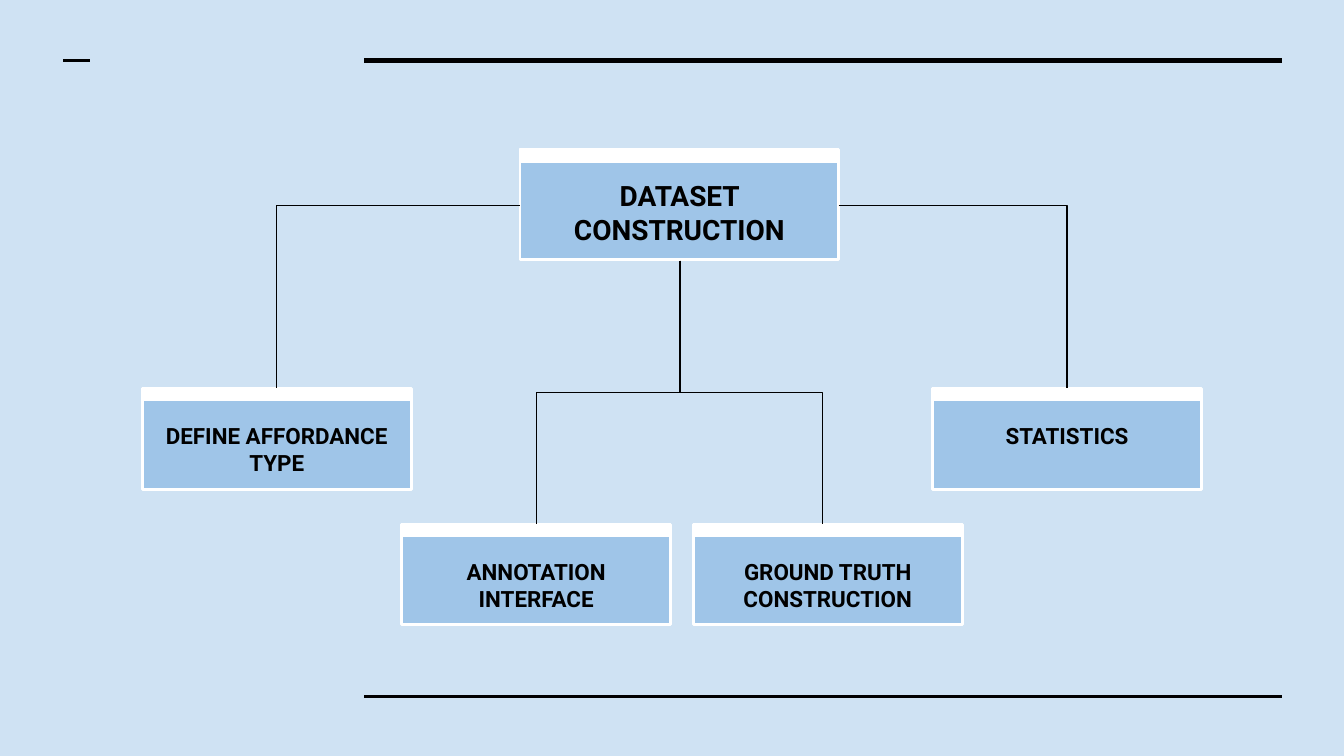
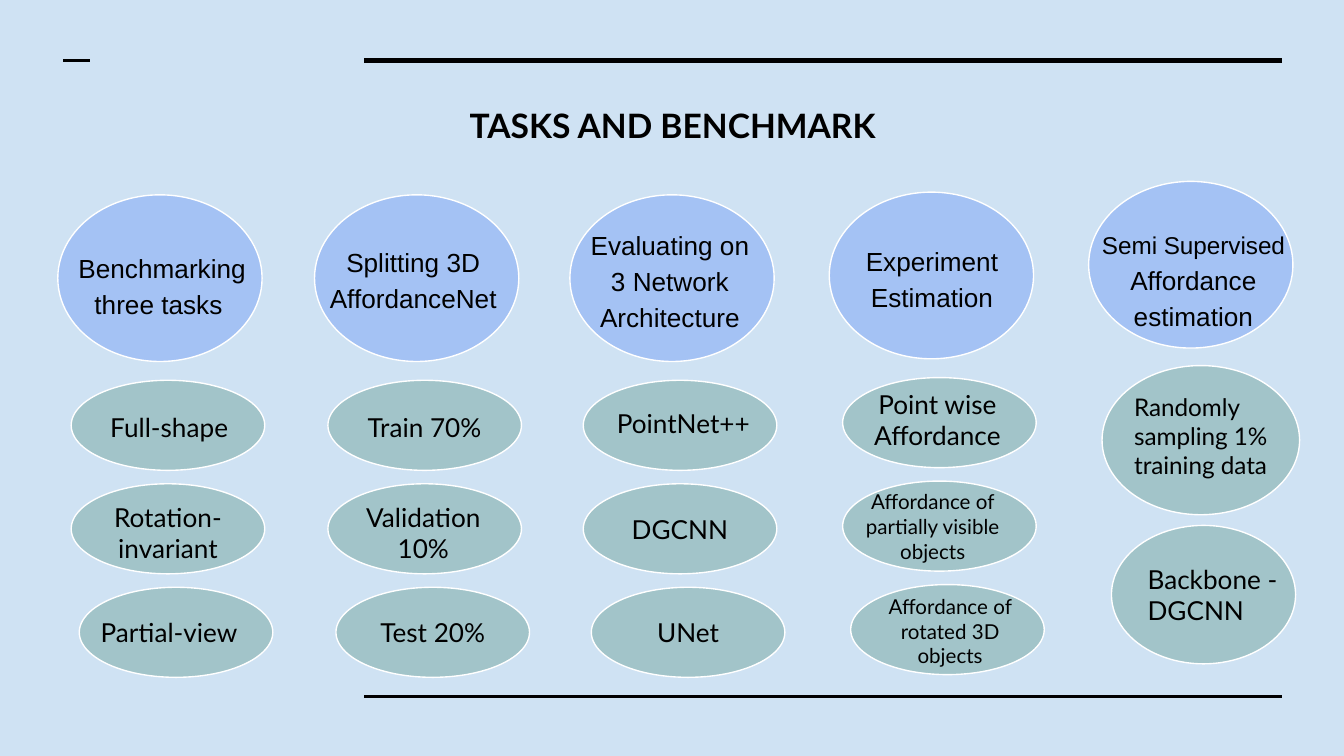
from dataclasses import dataclass

from lxml import etree
from pptx import Presentation
from pptx import util as u
from pptx.dml.color import RGBColor
from pptx.enum import shapes, text
from pptx.oxml.ns import qn

PX = 9144  # EMU in one px, 100 px to the inch


@dataclass(frozen=True)
class Theme:
    back: str = "CFE2F3"
    ink: str = "000000"
    white: str = "FFFFFF"
    card: str = "9FC5E8"
    header: str = "A4C2F4"
    pill: str = "A2C4C9"
    card_font: str = "Roboto"
    header_font: str = "Arial"
    body_font: str = "Lato"
    title: int = 18
    root: int = 15
    branch: int = 12
    body: int = 14
    medium: int = 13
    small: int = 11
    thick: float = 3
    rule: float = 1.5
    thin: float = 0.75


T = Theme()
RECT, OVAL = shapes.MSO_SHAPE.RECTANGLE, shapes.MSO_SHAPE.OVAL
LEFT, CENTER = text.PP_ALIGN.LEFT, text.PP_ALIGN.CENTER


def block(parent, at, kind=None, fill=None, line=T.thin, lines=(), size=T.body,
          font=T.body_font, bold=False, align=CENTER, indent=0, spacing=None, bottom=10):
    """Draw a filled shape, or a plain text box when no kind is given."""
    box = [n * PX for n in at]
    if kind is None:
        sp = parent.add_textbox(*box)
    else:
        sp = parent.add_shape(kind, *box)
        sp.shadow.inherit = False
        sp.fill.solid()
        sp.fill.fore_color.rgb = RGBColor.from_string(fill)
        sp.line.color.rgb = RGBColor.from_string(T.white)
        sp.line.width = u.Pt(line)
    if not lines:
        return
    tf = sp.text_frame
    tf.word_wrap = True
    tf.margin_left = tf.margin_right = tf.margin_top = 10 * PX
    tf.margin_bottom = bottom * PX
    if kind is None:
        tf.auto_size = text.MSO_AUTO_SIZE.SHAPE_TO_FIT_TEXT
    else:
        tf.vertical_anchor = text.MSO_ANCHOR.BOTTOM
    for i, (words, points) in enumerate((ln, size) if isinstance(ln, str) else ln for ln in lines):
        p = tf.paragraphs[0] if i == 0 else tf.add_paragraph()
        p.alignment = align
        if spacing:
            p.line_spacing = spacing
        if indent:
            pPr = p._p.get_or_add_pPr()
            pPr.set("marL", str(indent * PX))
            pPr.set("indent", "0")
        r = p.add_run()
        r.text = words
        r.font.name, r.font.size, r.font.bold = font, u.Pt(points), bold
        r.font.color.rgb = RGBColor.from_string(T.ink)


def link(parent, start, end, width=T.thin, route="straight"):
    """Join two points: straight, by one corner, or by a drop that forks halfway down."""
    x1, y1, x2, y2 = (n * PX for n in (*start, *end))
    turn = 0
    if route == "fork":
        # The elbow preset runs sideways, so lay it out sideways and turn it
        side = 1 if x2 < x1 else -1
        turn = 90 if side == 1 else 270
        mid_x, mid_y = (x1 + x2) // 2, (y1 + y2) // 2
        half_w, half_h = (y2 - y1) // 2, abs(x2 - x1) // 2
        x1, x2 = mid_x - side * half_w, mid_x + side * half_w
        y1, y2 = mid_y - half_h, mid_y + half_h
    kind = shapes.MSO_CONNECTOR.STRAIGHT if route == "straight" else shapes.MSO_CONNECTOR.ELBOW
    c = parent.add_connector(kind, x1, y1, x2, y2)
    c.line.color.rgb = RGBColor.from_string(T.ink)
    c.line.width = u.Pt(width)
    spPr = c._element.spPr
    etree.SubElement(spPr, qn("a:effectLst"))
    if route == "corner":
        spPr.find(qn("a:prstGeom")).set("prst", "bentConnector2")
    if turn:
        spPr.find(qn("a:xfrm")).set("rot", str(turn * 60000))


prs = Presentation()
prs.slide_width, prs.slide_height = 1000 * PX, u.Inches(5.625)

# Shared background and rules
back = prs.slide_master.background.fill
back.solid()
back.fore_color.rgb = RGBColor.from_string(T.back)
tree, tasks = [prs.slides.add_slide(prs.slide_layouts[6]).shapes for _ in range(2)]
for s in (tree, tasks):
    link(s, (271, 45), (954, 45), T.thick)
    link(s, (271, 518), (954, 518), T.rule)
    link(s, (47, 45), (67, 45), T.rule)

# Slide 1: cards, each with a white strip on top
cards = [
    ((387, 111, 237, 82), 10, T.root, "DATASET CONSTRUCTION", 10),
    ((106, 289, 200, 75), 9, T.branch, "DEFINE AFFORDANCE TYPE", 10),
    ((516, 390, 200, 75), 9, T.branch, "GROUND TRUTH CONSTRUCTION", 10),
    ((694, 289, 200, 75), 9, T.branch, "STATISTICS", 30),
    ((299, 390, 200, 75), 9, T.branch, "ANNOTATION INTERFACE", 10),
]
for at, strip, size, words, bottom in cards:
    g = tree.add_group_shape().shapes
    block(g, at, RECT, T.card, T.rule, [words], size, T.card_font, True, bottom=bottom)
    block(g, (*at[:3], strip), RECT, T.white)

# Slide 1: branches
link(tree, (387, 153), (206, 289), route="corner")
link(tree, (624, 153), (794, 289), route="corner")
link(tree, (506, 194), (399, 390), route="fork")
link(tree, (506, 194), (612, 390), route="fork")

# Slide 2: title
block(tasks, (96, 68, 809, 50), lines=["TASKS AND BENCHMARK"], size=T.title, bold=True)

# Slide 2: header ovals as (left, top, text box, lines)
headers = [
    (43, 145, (-17, 174, 220, 71), [" Benchmarking three tasks"]),
    (234, 145, (180, 170, 205, 71), ["Splitting 3D", "AffordanceNet"]),
    (424, 145, (376, 157, 195, 100), ["Evaluating on 3 Network Architecture"]),
    (617, 143, (571, 169, 195, 73), ["Experiment", "Estimation"]),
    (810, 135, (748, 158, 230, 99),
     [("Semi Supervised", T.medium), "Affordance", "estimation"]),
]
for x, y, at, lines in headers:
    block(tasks, (x, y, 152, 124), OVAL, T.header)
    block(tasks, at, lines=lines, font=T.header_font, indent=50, spacing=1.15)

# Slide 2: three pills under each of the first four headers
for x, y, *_ in headers[:4]:
    for row, shift in enumerate((10, 10, 16)):
        block(tasks, (x + shift, y + 138 + 77 * row, 144, 67), OVAL, T.pill)

# Slide 2: the two larger ovals under the last header
for at in ((820, 272, 147, 111), (827, 391, 137, 103)):
    block(tasks, at, OVAL, T.pill)

# Slide 2: labels as (text box, lines, size, alignment)
labels = [
    ((71, 296, 110, 44), ["Full-shape"], T.body, CENTER),
    ((70, 363, 110, 67), ["Rotation- invariant"], T.body, CENTER),
    ((65, 449, 132, 44), ["Partial-view"], T.body, LEFT),
    ((261, 296, 110, 44), ["Train 70%"], T.body, CENTER),
    ((260, 363, 110, 67), ["Validation 10%"], T.body, CENTER),
    ((256, 449, 132, 44), ["Test 20%"], T.body, CENTER),
    ((440, 293, 137, 44), ["PointNet++"], T.body, CENTER),
    ((451, 372, 110, 44), ["DGCNN"], T.body, CENTER),
    ((446, 449, 132, 44), ["UNet"], T.body, CENTER),
    ((629, 279, 137, 67), ["Point wise Affordance"], T.body, CENTER),
    ((622, 354, 144, 76), ["Affordance of partially visible objects"], T.small, CENTER),
    ((635, 432, 144, 76), ["Affordance of rotated 3D objects"], T.small, CENTER),
    ((834, 282, 152, 86), ["Randomly sampling 1% training data"], T.medium, LEFT),
    ((844, 409, 156, 67), ["Backbone -", "DGCNN"], T.body, LEFT),
]
for at, lines, size, align in labels:
    block(tasks, at, lines=lines, size=size, align=align)

prs.save("out.pptx")
